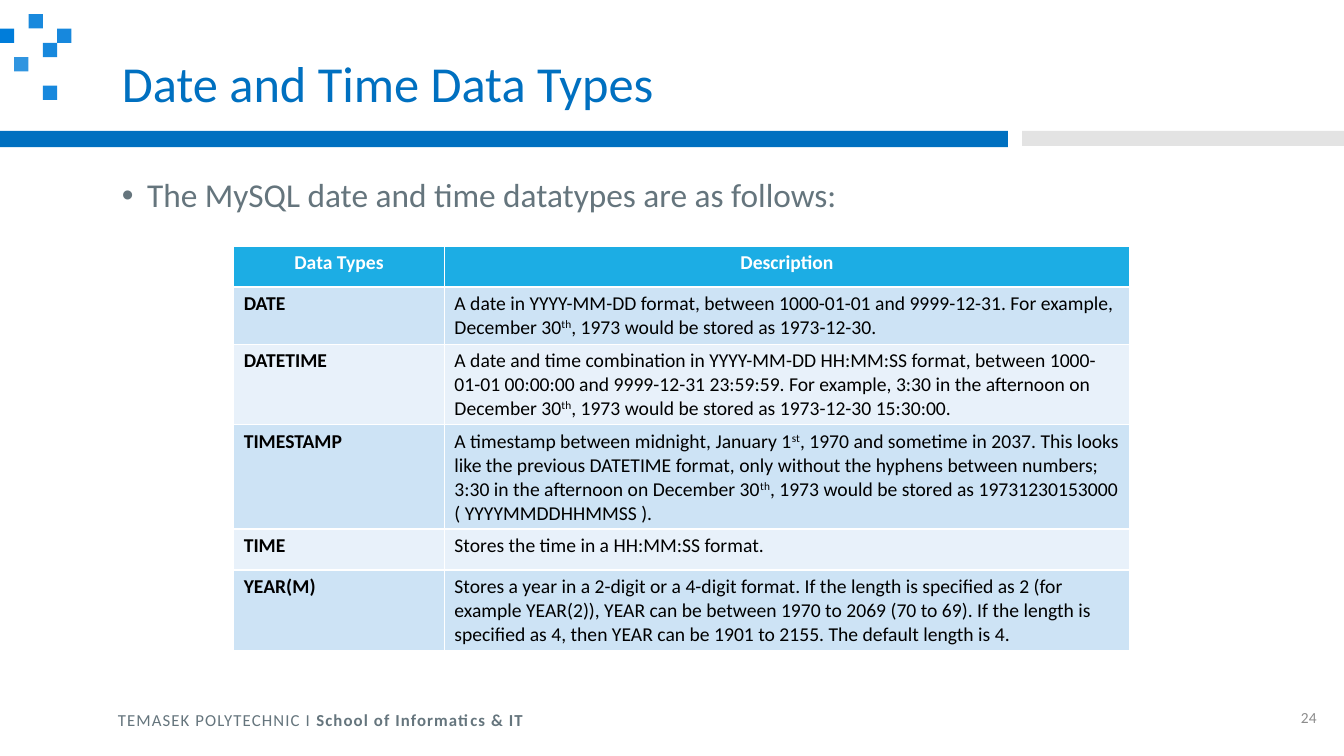
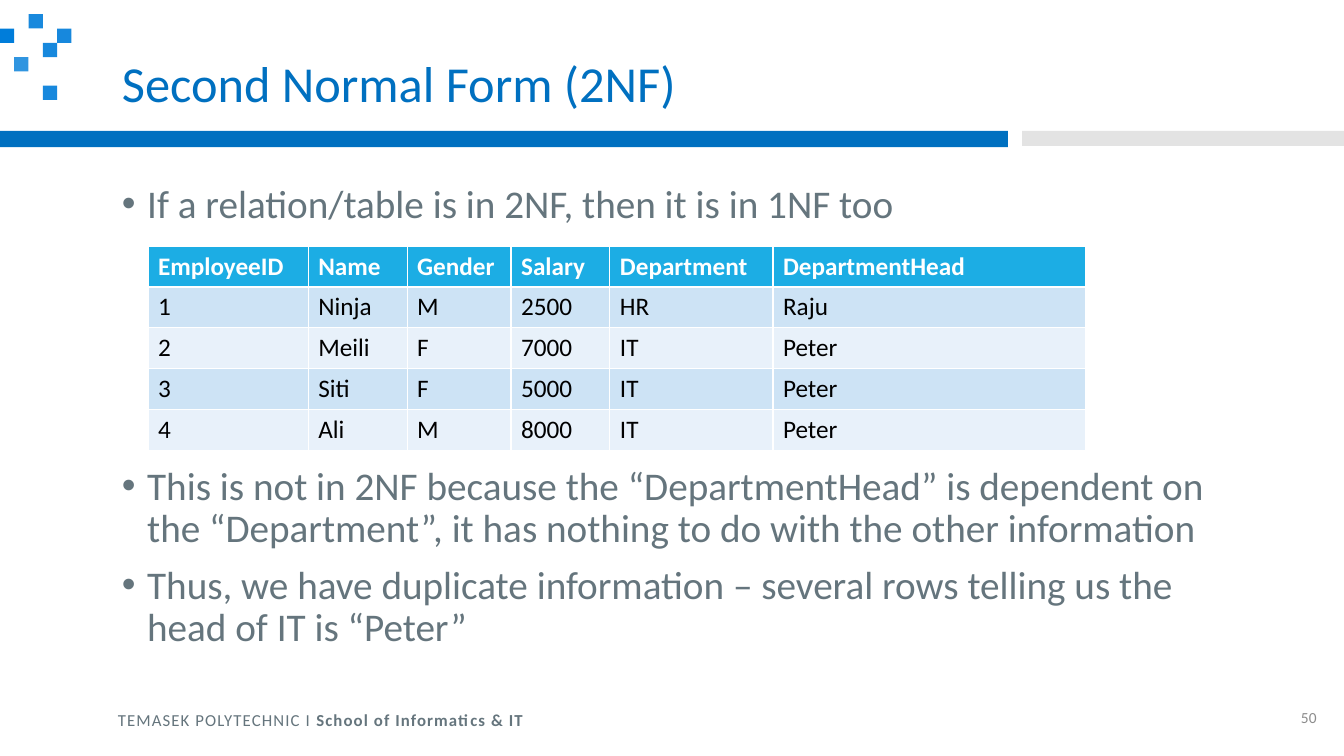
from dataclasses import dataclass

from lxml import etree
from pptx import Presentation
from pptx.dml.color import RGBColor
from pptx.enum.shapes import MSO_SHAPE
from pptx.enum.text import MSO_ANCHOR, MSO_AUTO_SIZE, PP_ALIGN
from pptx.oxml.ns import qn
from pptx.util import Cm, Pt

RECTANGLE = MSO_SHAPE.RECTANGLE
MIDDLE, TOP = MSO_ANCHOR.MIDDLE, MSO_ANCHOR.TOP
LEFT, CENTER, RIGHT = PP_ALIGN.LEFT, PP_ALIGN.CENTER, PP_ALIGN.RIGHT
NO_AUTOFIT = MSO_AUTO_SIZE.NONE
TITLE_ONLY = 5


@dataclass(frozen=True)
class Theme:
    font: str = "Calibri"
    title_color: str = "0070C0"
    band: str = "0070C0"
    band_end: str = "C8C8C8"
    square: str = "007DDA"
    text: str = "65757D"
    page: str = "8C8C8C"
    header_fill: str = "1CADE4"
    header_text: str = "FFFFFF"
    cell_text: str = "000000"
    row_fills: tuple = ("CDE3F5", "E8F1FA")
    title_size: float = 36
    footer_size: float = 12
    page_size: float = 11


class Deck:
    # column, row and opacity (%) of each corner square
    SQUARES = ((2, 1, 90), (1, 4, 81), (0, 2, 100), (4, 2, 91), (3, 3, 91), (3, 6, 91))
    SQUARE_SIDE = 0.36
    ROW_HEIGHT = 1.03

    def __init__(self, theme):
        self.theme = theme
        self.prs = Presentation()
        self.prs.slide_width, self.prs.slide_height = Cm(33.87), Cm(19.05)
        self.slide = None

    def new_slide(self, title, page):
        self.slide = self.prs.slides.add_slide(self.prs.slide_layouts[TITLE_ONLY])
        theme = self.theme
        self.rectangle(0, 3.3, 25.4, 0.41, theme.band)
        self.rectangle(25.76, 3.3, 8.11, 0.38, theme.band_end, 50)
        side = self.SQUARE_SIDE
        for column, row, opacity in self.SQUARES:
            self.rectangle(column * side, row * side, side, side, theme.square, opacity)
        self.title(title)
        self.footer()
        number = self.text_box(32.13, 17.65, 1.3, 0.86, MIDDLE).paragraphs[0]
        number.text = page
        number.alignment = RIGHT
        self.style(number.font, theme.page_size, theme.page)

    def style(self, font, size, color, bold=False):
        font.name, font.size, font.bold = self.theme.font, Pt(size), bold
        font.color.rgb = RGBColor.from_string(color)

    def rectangle(self, left, top, width, height, color, opacity=100):
        shape = self.slide.shapes.add_shape(
            RECTANGLE, Cm(left), Cm(top), Cm(width), Cm(height))
        shape.shadow.inherit = False
        shape.line.fill.background()
        shape.fill.solid()
        shape.fill.fore_color.rgb = RGBColor.from_string(color)
        if opacity < 100:
            fill_color = shape.fill._xPr.find(".//" + qn("a:srgbClr"))
            etree.SubElement(fill_color, qn("a:alpha"), val=str(opacity * 1000))

    def text_box(self, left, top, width, height, anchor=TOP):
        box = self.slide.shapes.add_textbox(Cm(left), Cm(top), Cm(width), Cm(height))
        frame = box.text_frame
        frame.word_wrap = True
        frame.vertical_anchor = anchor
        return frame

    def title(self, text):
        holder = self.slide.shapes.title
        holder.left, holder.top = Cm(2.82), Cm(1.02)
        holder.width, holder.height = Cm(28.7), Cm(2.29)
        frame = holder.text_frame
        frame.text = text
        frame.auto_size = NO_AUTOFIT
        frame.vertical_anchor = MIDDLE
        heading = frame.paragraphs[0]
        heading.alignment = LEFT
        heading.line_spacing = 0.9
        self.style(heading.font, self.theme.title_size, self.theme.title_color)

    def footer(self):
        line = self.text_box(2.72, 17.75, 29.41, 0.76).paragraphs[0]
        for text, bold in (("TEMASEK POLYTECHNIC I ", False),
                           ("School of Informatics & IT", True)):
            run = line.add_run()
            run.text = text
            self.style(run.font, self.theme.footer_size, self.theme.text, bold)
            run._r.get_or_add_rPr().set("spc", "80")

    def bullets(self, top, height, size, *items):
        frame = self.text_box(2.82, top, 28.7, height)
        for index, item in enumerate(items):
            paragraph = frame.add_paragraph() if index else frame.paragraphs[0]
            paragraph.text = item
            paragraph.line_spacing = 0.9
            if index:
                paragraph.space_before = Pt(10)
            properties = paragraph._p.get_or_add_pPr()
            properties.set("marL", str(Cm(0.64)))
            properties.set("indent", str(-Cm(0.64)))
            etree.SubElement(properties, qn("a:buFont"), typeface="Arial")
            etree.SubElement(properties, qn("a:buChar"), char="•")
            self.style(paragraph.font, size, self.theme.text)

    def table(self, left, top, widths, rows, size, header_align=LEFT, bold_first=False):
        frame = self.slide.shapes.add_table(
            len(rows), len(widths), Cm(left), Cm(top),
            Cm(sum(widths)), Cm(self.ROW_HEIGHT * len(rows)))
        grid = frame.table
        for column, width in zip(grid.columns, widths):
            column.width = Cm(width)
        for r, row in enumerate(rows):
            grid.rows[r].height = Cm(self.ROW_HEIGHT)
            for c, text in enumerate(row):
                self.cell(grid.cell(r, c), text, size, r,
                          bold=r == 0 or (bold_first and c == 0),
                          align=LEFT if r else header_align)

    def cell(self, cell, text, size, row, bold, align):
        """Fill one cell; text between ^ marks is set as superscript."""
        theme = self.theme
        cell.fill.solid()
        fill = theme.row_fills[(row - 1) % 2] if row else theme.header_fill
        cell.fill.fore_color.rgb = RGBColor.from_string(fill)
        paragraph = cell.text_frame.paragraphs[0]
        paragraph.alignment = align
        color = theme.cell_text if row else theme.header_text
        for index, part in enumerate(text.split("^")):
            run = paragraph.add_run()
            run.text = part
            self.style(run.font, size, color, bold)
            if index % 2:
                run._r.get_or_add_rPr().set("baseline", "30000")


DATE_TYPES = (
    ("Data Types", "Description"),
    ("DATE",
     "A date in YYYY-MM-DD format, between 1000-01-01 and 9999-12-31. For example, "
     "December 30^th^, 1973 would be stored as 1973-12-30."),
    ("DATETIME",
     "A date and time combination in YYYY-MM-DD HH:MM:SS format, between "
     "1000-01-01 00:00:00 and 9999-12-31 23:59:59. For example, 3:30 in the "
     "afternoon on December 30^th^, 1973 would be stored as 1973-12-30 15:30:00."),
    ("TIMESTAMP",
     "A timestamp between midnight, January 1^st^, 1970 and sometime in 2037. This "
     "looks like the previous DATETIME format, only without the hyphens between "
     "numbers; 3:30 in the afternoon on December 30^th^, 1973 would be stored as "
     "19731230153000 ( YYYYMMDDHHMMSS )."),
    ("TIME", "Stores the time in a HH:MM:SS format."),
    ("YEAR(M)",
     "Stores a year in a 2-digit or a 4-digit format. If the length is specified as "
     "2 (for example YEAR(2)), YEAR can be between 1970 to 2069 (70 to 69). If the "
     "length is specified as 4, then YEAR can be 1901 to 2155. The default length "
     "is 4."),
)

EMPLOYEES = (
    ("EmployeeID", "Name", "Gender", "Salary", "Department", "DepartmentHead"),
    ("1", "Ninja", "M", "2500", "HR", "Raju"),
    ("2", "Meili", "F", "7000", "IT", "Peter"),
    ("3", "Siti", "F", "5000", "IT", "Peter"),
    ("4", "Ali", "M", "8000", "IT", "Peter"),
)


def main():
    deck = Deck(Theme())

    deck.new_slide("Date and Time Data Types", "24")
    deck.bullets(4.39, 1.17, 23.8, "The MySQL date and time datatypes are as follows:")
    deck.table(5.89, 6.2, (5.31, 17.27), DATE_TYPES, 14, CENTER, bold_first=True)

    deck.new_slide("Second Normal Form (2NF)", "50")
    deck.bullets(4.52, 1.4, 28, "If a relation/table is in 2NF, then it is in 1NF too")
    deck.table(3.73, 6.2, (4.04, 2.49, 2.62, 2.49, 4.11, 7.87), EMPLOYEES, 18)
    deck.bullets(
        11.63, 5.64, 28,
        "This is not in 2NF because the “DepartmentHead” is dependent on the "
        "“Department”, it has nothing to do with the other information",
        "Thus, we have duplicate information – several rows telling us the head of IT "
        "is “Peter”")

    deck.prs.save("out.pptx")


if __name__ == "__main__":
    main()
